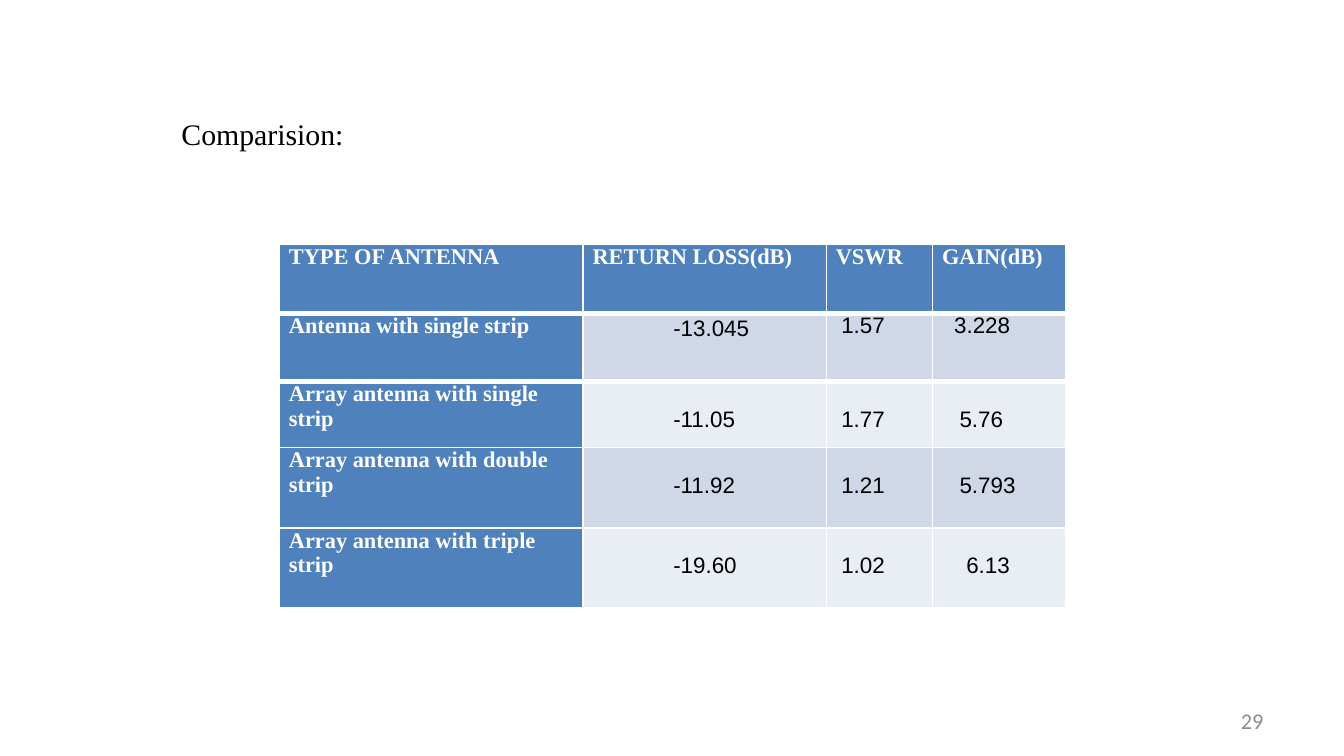
from lxml.etree import SubElement
from pptx import Presentation
from pptx.dml.color import RGBColor
from pptx.enum.text import MSO_ANCHOR, PP_ALIGN
from pptx.oxml.ns import qn
from pptx.util import Inches, Pt

HEADERS = ["TYPE OF ANTENNA", "RETURN LOSS(dB)", "VSWR", "GAIN(dB)"]
ANTENNAS = [
    ["Antenna with single strip", "-13.045", "1.57", "3.228"],
    ["Array antenna with single strip", "-11.05", "1.77", "5.76"],
    ["Array antenna with double strip", "-11.92", "1.21", "5.793"],
    ["Array antenna with triple strip", "-19.60", "1.02", "6.13"],
]
COLUMN_WIDTHS = [2.26, 1.81, 0.79, 0.99]
ROW_HEIGHTS = [0.51, 0.51, 0.49, 0.6, 0.59]
VALUE_INDENTS = [0.67, 0.11]
GAIN_INDENTS = [0.16, 0.2, 0.2, 0.25]
CELL_INSET = 0.07
LINE_HEIGHT = 0.19
HEADER_FILL = "4F81BD"
BAND_FILLS = ["D0D8E8", "E9EDF4"]
SERIF = "Times New Roman"


def color(value):
    """Turn a hex string into a colour."""
    return RGBColor.from_string(value)


def format_text(frame, font, size, ink, bold=False):
    """Give every run in a text frame the same font."""
    for para in frame.paragraphs:
        for span in para.runs:
            span.font.name = font
            span.font.size = Pt(size)
            span.font.bold = bold
            span.font.color.rgb = color(ink)


def place(box, left, top, width, height):
    """Position a shape, in inches."""
    box.left, box.top = Inches(left), Inches(top)
    box.width, box.height = Inches(width), Inches(height)


def add_heading(slide, text):
    """Fill the body placeholder with an unbulleted heading."""
    title = slide.shapes.title
    title.element.getparent().remove(title.element)
    body = slide.placeholders[1]
    place(body, 1.25, 0.81, 7.83, 4.21)
    body.text_frame.text = text
    properties = body.text_frame.paragraphs[0]._p.get_or_add_pPr()
    properties.set("marL", "0")
    properties.set("indent", "0")
    SubElement(properties, qn("a:buNone"))
    format_text(body.text_frame, SERIF, 16, "000000")


def set_border(cell, side, width):
    """Draw a white line on one side of a cell."""
    properties = cell._tc.get_or_add_tcPr()
    line = properties.makeelement(qn(f"a:{side}"), {"w": str(Pt(width))})
    fill = SubElement(line, qn("a:solidFill"))
    SubElement(fill, qn("a:srgbClr"), val="FFFFFF")
    properties.insert(0, line)


def fill_cell(cell, text, fill, left=CELL_INSET, top=0, label=True):
    """Write a label or a value into a cell."""
    cell.margin_left, cell.margin_right = Inches(left), Inches(CELL_INSET)
    cell.margin_top, cell.margin_bottom = Inches(top), 0
    cell.fill.solid()
    cell.fill.fore_color.rgb = color(fill)
    cell.text_frame.text = text
    if label:
        format_text(cell.text_frame, SERIF, 12, "FFFFFF", bold=True)
    else:
        format_text(cell.text_frame, "Arial", 12, "000000")


def add_comparison(slide):
    """Add the table that compares the antennas."""
    frame = slide.shapes.add_table(
        len(ROW_HEIGHTS), len(COLUMN_WIDTHS), Inches(2.08), Inches(1.82),
        Inches(sum(COLUMN_WIDTHS)), Inches(sum(ROW_HEIGHTS)),
    )
    table = frame.table
    table.first_col = True
    for column, width in zip(table.columns, COLUMN_WIDTHS):
        column.width = Inches(width)
    for row, height in zip(table.rows, ROW_HEIGHTS):
        row.height = Inches(height)
    for index, header in enumerate(HEADERS):
        fill_cell(table.cell(0, index), header, HEADER_FILL)
        set_border(table.cell(0, index), "lnB", 3)
        set_border(table.cell(1, index), "lnT", 3)
    for index, (antenna, *values) in enumerate(ANTENNAS):
        fill_cell(table.cell(index + 1, 0), antenna, HEADER_FILL)
        indents = VALUE_INDENTS + [GAIN_INDENTS[index]]
        top = LINE_HEIGHT if index else 0
        for column, (value, left) in enumerate(zip(values, indents), start=1):
            fill_cell(table.cell(index + 1, column), value,
                      BAND_FILLS[index % 2], left, top, label=False)
    table.cell(1, 1).margin_top = Inches(0.02)


def add_page_number(slide, number):
    """Add the page number at the bottom right."""
    box = slide.shapes.add_textbox(0, 0, 0, 0)
    place(box, 7.17, 5.21, 2.33, 0.3)
    frame = box.text_frame
    frame.word_wrap = True
    frame.vertical_anchor = MSO_ANCHOR.MIDDLE
    frame.text = number
    frame.paragraphs[0].alignment = PP_ALIGN.RIGHT
    format_text(frame, "Calibri", 12, "8C8C8C")


def main():
    """Build and save the slide."""
    deck = Presentation()
    deck.slide_width = Inches(10)
    deck.slide_height = deck.slide_width * 9 // 16
    slide = deck.slides.add_slide(deck.slide_layouts[1])
    add_heading(slide, "Comparision:")
    add_page_number(slide, "29")
    add_comparison(slide)
    deck.save("out.pptx")


if __name__ == "__main__":
    main()
